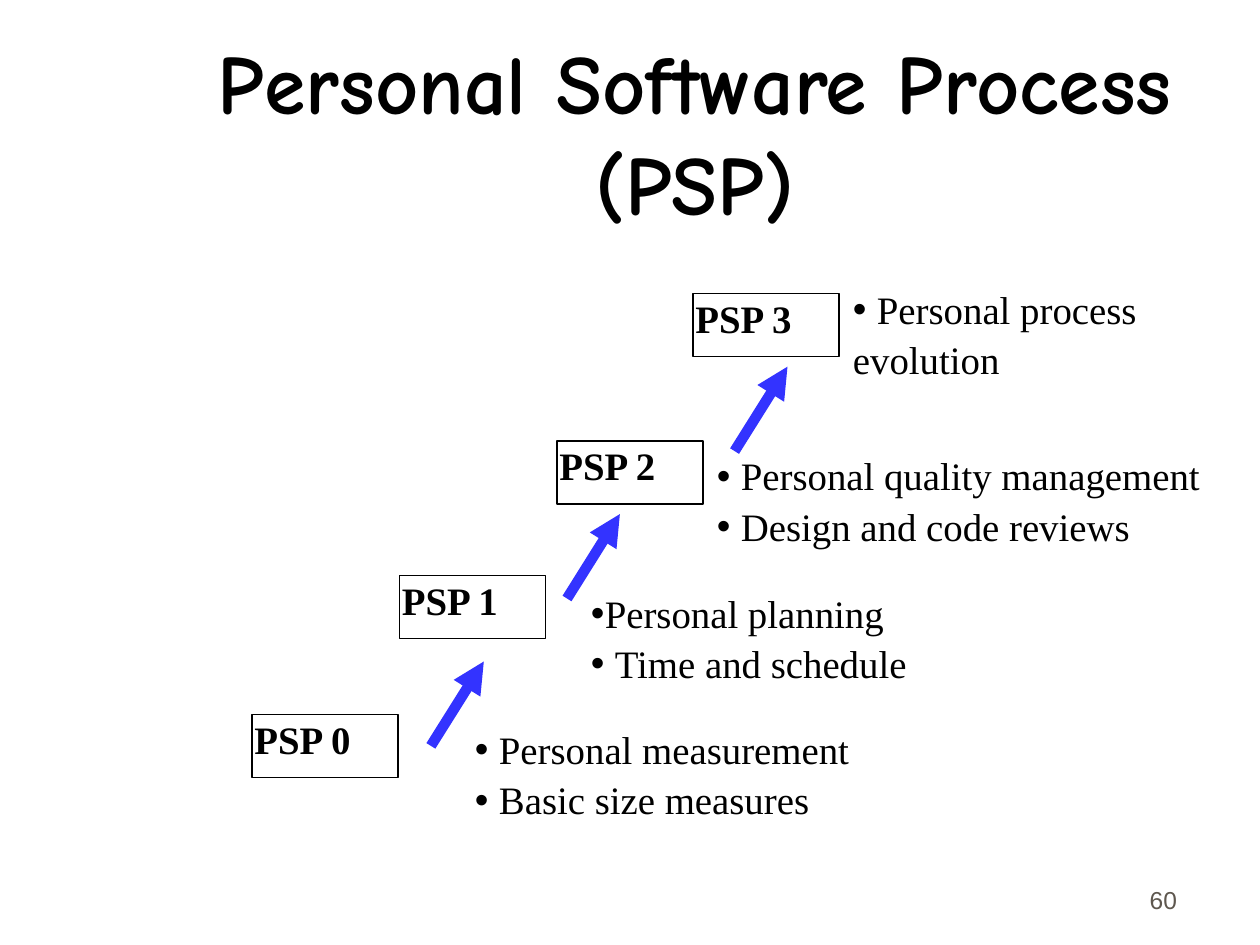
from dataclasses import dataclass

from lxml.etree import SubElement
from pptx import Presentation
from pptx.dml.color import RGBColor
from pptx.enum.shapes import MSO_CONNECTOR as Connector, MSO_SHAPE as Shape
from pptx.enum.text import MSO_ANCHOR as Anchor, MSO_AUTO_SIZE as AutoSize, PP_ALIGN as Align
from pptx.oxml.ns import qn
from pptx.util import Inches, Pt

COLORS = {"text": "000000", "arrow": "3333FF", "number": "5E574E"}
SERIF = "Times New Roman"
LEVEL_SIZE = 22.2
LEVEL_WIDTH, LEVEL_HEIGHT = 1.16, 0.5
PRACTICES_HEIGHT = 0.92
ARROW_RUN, ARROW_RISE = 0.42, 0.67


@dataclass(frozen=True)
class Line:
    text: str
    hang: float = 0.19  # distance from bullet to text; 0 means no bullet


@dataclass(frozen=True)
class Level:
    name: str
    left: float
    top: float
    practices_at: tuple[float, float]
    practices: tuple[Line, ...]
    practices_width: float = 3.57


LEVELS = (
    Level("PSP 0", 2, 5.67, (3.75, 5.75),
          (Line("Personal measurement"), Line("Basic size measures"))),
    Level("PSP 1", 3.17, 4.57, (4.67, 4.67),
          (Line("Personal planning", 0.11), Line("Time and schedule"))),
    Level("PSP 2", 4.42, 3.5, (5.67, 3.58),
          (Line("Personal quality management"), Line("Design and code reviews")), 4.5),
    Level("PSP 3", 5.5, 2.33, (6.75, 2.26),
          (Line("Personal process"), Line("evolution", 0))),
)
ARROW_STARTS = ((3.42, 5.92), (4.5, 4.75), (5.83, 3.58))


def color(key: str) -> RGBColor:
    return RGBColor.from_string(COLORS[key])


def add_bullet(paragraph, hang: float) -> None:
    properties = paragraph._p.get_or_add_pPr()
    properties.set("marL", str(Inches(hang)))
    properties.set("indent", str(-Inches(hang)))
    SubElement(properties, qn("a:buFont"), typeface="Arial")
    SubElement(properties, qn("a:buChar"), char="•")


def write(shape, *lines: Line, font: str, size: float, bold: bool = False,
          ink: str = "text", align=Align.LEFT, anchor=Anchor.TOP,
          side_inset: float = 0.02, spacing: float = 1.0) -> None:
    frame = shape.text_frame
    frame.word_wrap = True
    frame.auto_size = AutoSize.NONE
    frame.vertical_anchor = anchor
    frame.margin_left = frame.margin_right = Inches(side_inset)
    frame.margin_top = frame.margin_bottom = Inches(0.05)
    for index, line in enumerate(lines):
        paragraph = frame.add_paragraph() if index else frame.paragraphs[0]
        paragraph.text = line.text
        paragraph.alignment = align
        paragraph.line_spacing = spacing
        paragraph.space_before = Pt(4.8 if index else 0)
        if line.hang:
            add_bullet(paragraph, line.hang)
        paragraph.font.name = font
        paragraph.font.size = Pt(size)
        paragraph.font.bold = bold
        paragraph.font.color.rgb = color(ink)


def add_level(slide, level: Level) -> None:
    box = slide.shapes.add_shape(Shape.RECTANGLE, Inches(level.left), Inches(level.top),
                                 Inches(LEVEL_WIDTH), Inches(LEVEL_HEIGHT))
    box.shadow.inherit = False
    box.fill.background()
    box.line.color.rgb = color("text")
    box.line.width = Pt(0.75)
    write(box, Line(level.name, 0), font=SERIF, size=LEVEL_SIZE, bold=True, spacing=0.9)

    left, top = level.practices_at
    practices = slide.shapes.add_textbox(Inches(left), Inches(top),
                                         Inches(level.practices_width),
                                         Inches(PRACTICES_HEIGHT))
    write(practices, *level.practices, font=SERIF, size=LEVEL_SIZE, spacing=0.9)


def add_arrow(slide, x: float, y: float) -> None:
    arrow = slide.shapes.add_connector(Connector.STRAIGHT, Inches(x), Inches(y),
                                       Inches(x + ARROW_RUN), Inches(y - ARROW_RISE))
    arrow.line.color.rgb = color("arrow")
    arrow.line.width = Pt(6)
    SubElement(arrow.line._get_or_add_ln(), qn("a:tailEnd"), type="triangle")
    SubElement(arrow._element.spPr, qn("a:effectLst"))


def main() -> None:
    deck = Presentation()
    deck.slide_width, deck.slide_height = Inches(10), Inches(7.5)
    slide = deck.slides.add_slide(deck.slide_layouts.get_by_name("Title Only"))

    title = slide.shapes.title
    title.left, title.top = Inches(1.26), Inches(0.28)
    title.width, title.height = Inches(8.51), Inches(1.53)
    write(title, Line("Personal Software Process (PSP)", 0), font="Comic Neue", size=48,
          bold=True, align=Align.CENTER, anchor=Anchor.MIDDLE)

    for level in LEVELS:
        add_level(slide, level)
    for start in ARROW_STARTS:
        add_arrow(slide, *start)

    number = slide.shapes.add_textbox(Inches(7.36), Inches(6.81), Inches(2.08), Inches(0.5))
    write(number, Line("60", 0), font="Arial", size=14, ink="number",
          align=Align.RIGHT, anchor=Anchor.BOTTOM, side_inset=0.1)

    deck.save("out.pptx")


if __name__ == "__main__":
    main()
